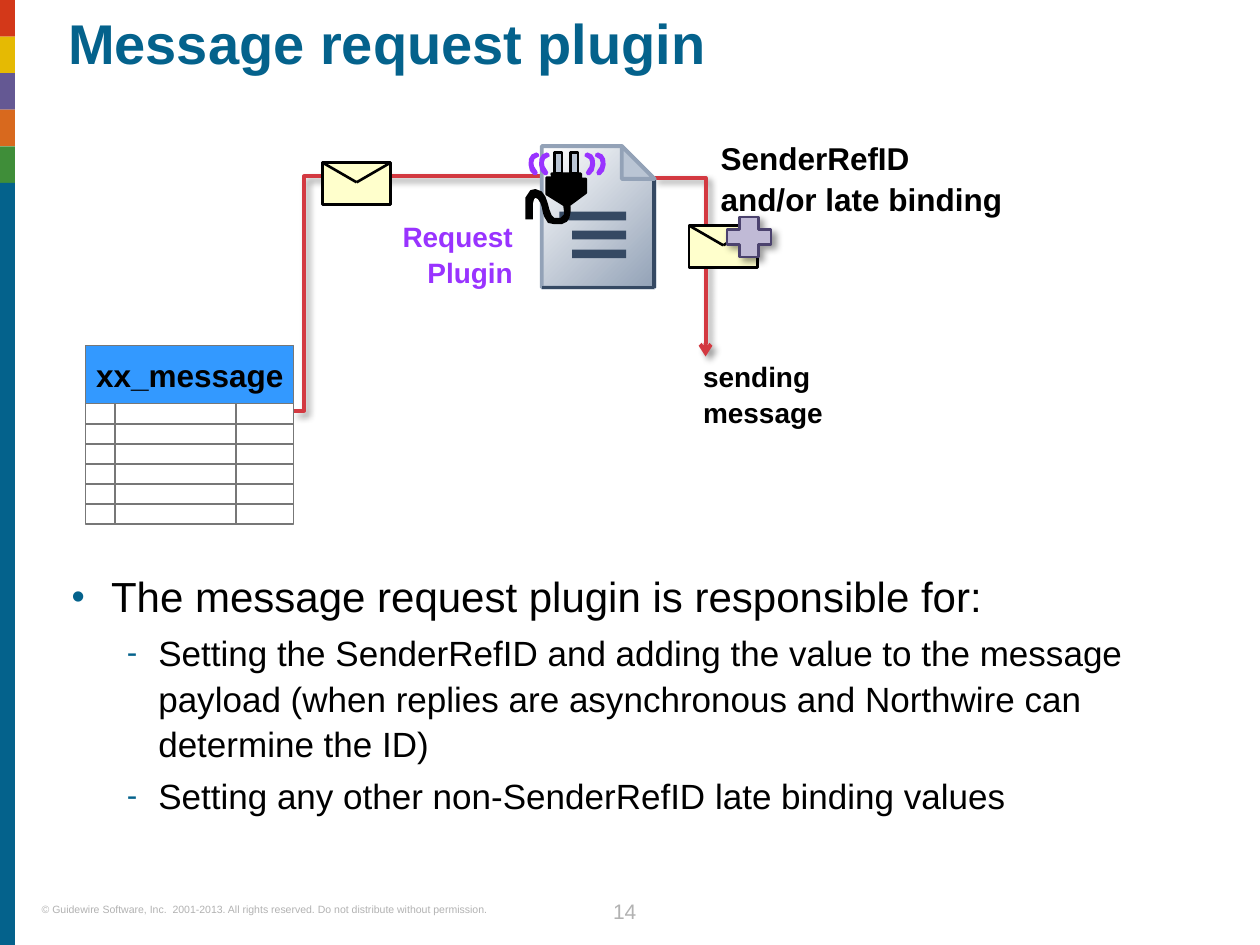
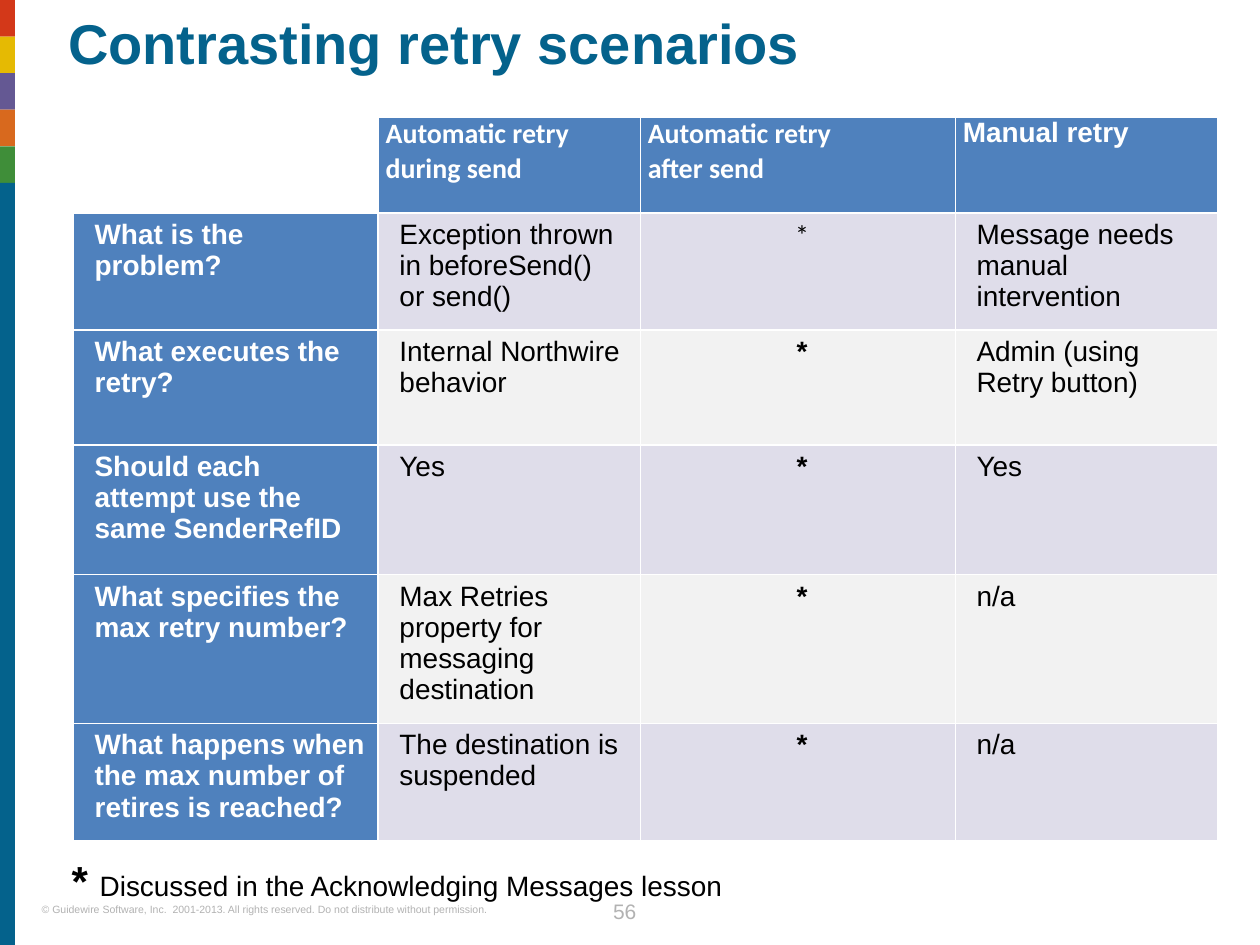
from lxml import etree
from pptx import Presentation
from pptx.dml.color import RGBColor
from pptx.enum.shapes import MSO_CONNECTOR, MSO_SHAPE
from pptx.enum.text import MSO_ANCHOR, MSO_AUTO_SIZE, PP_ALIGN
from pptx.oxml.ns import qn
from pptx.util import Pt

RECT, PLUS = MSO_SHAPE.RECTANGLE, MSO_SHAPE.CROSS
STRAIGHT, ELBOW = MSO_CONNECTOR.STRAIGHT, MSO_CONNECTOR.ELBOW
LEFT, CENTER, RIGHT = PP_ALIGN.LEFT, PP_ALIGN.CENTER, PP_ALIGN.RIGHT
TOP, MIDDLE = MSO_ANCHOR.TOP, MSO_ANCHOR.MIDDLE
NO_FIT = MSO_AUTO_SIZE.NONE

BLACK = RGBColor(0x00, 0x00, 0x00)
WHITE = RGBColor(0xFF, 0xFF, 0xFF)
BRAND_BLUE = RGBColor(0x04, 0x62, 0x8C)
BAND_COLORS = [RGBColor(0xD3, 0x38, 0x19), RGBColor(0xE5, 0xBA, 0x03),
               RGBColor(0x64, 0x58, 0x93), RGBColor(0xD8, 0x69, 0x1E),
               RGBColor(0x3F, 0x8E, 0x39)]
FOOTER_GRAY = RGBColor(0xB2, 0xB2, 0xB2)
GRID_GRAY = RGBColor(0x77, 0x77, 0x77)
HEADER_BLUE = RGBColor(0x33, 0x99, 0xFF)
PLUGIN_PURPLE = RGBColor(0x99, 0x33, 0xFF)
FLOW_RED = RGBColor(0xD3, 0x39, 0x41)
ENVELOPE = RGBColor(0xFF, 0xFF, 0xCC)
PLUS_FILL = RGBColor(0xC0, 0xBA, 0xD6)
PLUS_LINE = RGBColor(0x4B, 0x42, 0x6E)
PAGE_EDGE = RGBColor(0x93, 0xA2, 0xB7)
PAGE_FOLD = RGBColor(0xBA, 0xC5, 0xD4)
PAGE_DARK = RGBColor(0x35, 0x49, 0x63)
TABLE_BLUE = RGBColor(0x4F, 0x81, 0xBD)
ROW_FILLS = [RGBColor(0xDF, 0xDD, 0xEA), RGBColor(0xF2, 0xF2, 0xF2)]

ARIAL, CALIBRI = "Arial", "Calibri"
COPYRIGHT = ("© Guidewire Software, Inc.  2001-2013. All rights reserved. "
             "Do not distribute without permission.")

VIBRATION = [(0, 2.2), (0.3, 0.7), (1.7, 0), (4.3, 1.2), (5.8, 3.6), (6.1, 7),
             (5.2, 10.6), (3.1, 12.9), (1.5, 13), (0.8, 11.5), (1.6, 10),
             (2.9, 8), (3.3, 5.9), (2.7, 3.8)]
CORD = [(21.6, 29.5), (22.3, 35.3), (20.2, 37.4), (16.6, 37.4), (15.1, 36),
        (13.7, 32.4), (13, 29.5), (11.5, 25.2), (9.4, 22.3), (5.8, 20.9),
        (2.9, 21.6), (1.4, 23.8), (0, 25.9), (0, 38.2), (4.3, 38.2),
        (4.3, 29.5), (5, 26.6), (5.8, 25.9), (7.2, 26.6), (8.6, 28.8),
        (9.4, 31), (10.1, 34.6), (10.8, 36.7), (13, 40.3), (16.6, 41),
        (20.9, 41), (23.8, 39.6), (25.2, 37.4), (25.9, 33.8), (25.9, 31),
        (25.2, 29.5)]
PLUG_BODY = [(15.1, 12.2), (31.7, 12.2), (31.7, 15.1), (34.6, 15.1), (34.6, 23),
             (23.8, 31), (12.2, 23.8), (12.2, 14.4), (15.8, 14.4)]

RETRY_HEADERS = ["Automatic retry during send", "Automatic retry\nafter send",
                 "Manual retry"]
RETRY_ROWS = [
    ("What is the problem?", "Exception thrown in beforeSend()\nor send()", "*",
     "Message needs manual intervention"),
    ("What executes the retry?", "Internal Northwire behavior", "*",
     "Admin (using Retry button)"),
    ("Should each attempt use the same SenderRefID", "Yes", "*", "Yes"),
    ("What specifies the max retry number?",
     "Max Retries property for messaging destination", "*", "n/a"),
    ("What happens when the max number of retires is reached?",
     "The destination is suspended", "*", "n/a"),
]


def add_text(p, text, size, color=BLACK, bold=False, font=ARIAL):
    for i, part in enumerate(text.split("\n")):
        if i:
            p.add_line_break()
        r = p.add_run()
        r.text = part
        r.font.name, r.font.size, r.font.bold = font, Pt(size), bold
        r.font.color.rgb = color


def clear_frame(tf, anchor=TOP):
    tf.margin_left = tf.margin_right = tf.margin_top = tf.margin_bottom = 0
    tf.word_wrap, tf.auto_size, tf.vertical_anchor = True, NO_FIT, anchor


def text_box(slide, box, text="", align=LEFT, spacing=1.08, **fmt):
    tf = slide.shapes.add_textbox(*map(Pt, box)).text_frame
    clear_frame(tf)
    p = tf.paragraphs[0]
    p.alignment, p.line_spacing = align, spacing
    if text:
        add_text(p, text, **fmt)
    return tf


def add_bullet(p, char, left, hang):
    pPr = p._p.get_or_add_pPr()
    pPr.set("marL", str(Pt(left)))
    pPr.set("indent", str(-Pt(hang)))
    color = etree.SubElement(pPr, qn("a:buClr"))
    etree.SubElement(color, qn("a:srgbClr"), val=str(BRAND_BLUE))
    etree.SubElement(pPr, qn("a:buSzPct"), val="90000")
    etree.SubElement(pPr, qn("a:buFont"), typeface=ARIAL)
    etree.SubElement(pPr, qn("a:buChar"), char=char)


def set_effects(sp, shadow=False):
    effects = etree.SubElement(sp._element.spPr, qn("a:effectLst"))
    if shadow:
        outer = etree.SubElement(effects, qn("a:outerShdw"), blurRad=str(Pt(4)),
                                 dist=str(Pt(3)), dir="2700000", rotWithShape="0")
        color = etree.SubElement(outer, qn("a:srgbClr"), val=str(BLACK))
        etree.SubElement(color, qn("a:alpha"), val="40000")


def paint(sp, fill=None, line=None, width=1.5, shadow=False):
    if fill is None:
        sp.fill.background()
    else:
        sp.fill.solid()
        sp.fill.fore_color.rgb = fill
    if line is None:
        sp.line.fill.background()
    else:
        sp.line.color.rgb, sp.line.width = line, Pt(width)
    set_effects(sp, shadow)
    return sp


def add_box(shapes, box, kind=RECT, **look):
    return paint(shapes.add_shape(kind, *map(Pt, box)), **look)


def add_outline(shapes, x, y, points, **look):
    """Closed polygon whose points are in points from (x, y)."""
    first, *rest = [(px * 100, py * 100) for px, py in points]
    builder = shapes.build_freeform(*first, scale=127)
    builder.add_line_segments(rest, close=True)
    return paint(builder.convert_to_shape(Pt(x), Pt(y)), **look)


def add_line(shapes, x1, y1, x2, y2, color, width):
    line = shapes.add_connector(STRAIGHT, *map(Pt, (x1, y1, x2, y2)))
    line.line.color.rgb, line.line.width = color, Pt(width)
    set_effects(line)


def add_flow(shapes, x1, y1, x2, y2, bend, turn=0):
    """Red elbow arrow; bend in thousandths of a percent, turn in degrees."""
    flow = shapes.add_connector(ELBOW, *map(Pt, (x1, y1, x2, y2)))
    flow.line.color.rgb, flow.line.width = FLOW_RED, Pt(2.25)
    spPr = flow._element.spPr
    spPr.find(qn("a:xfrm")).set("rot", str(turn * 60000))
    guides = spPr.find(qn("a:prstGeom")).find(qn("a:avLst"))
    etree.SubElement(guides, qn("a:gd"), name="adj1", fmla=f"val {bend}")
    etree.SubElement(spPr.find(qn("a:ln")), qn("a:tailEnd"), type="arrow")
    set_effects(flow, shadow=True)


def base_slide(prs, title, number):
    slide = prs.slides.add_slide(prs.slide_layouts[5])
    text_box(slide, (23.8, 516.2, 289.4, 7.2), COPYRIGHT, spacing=1,
             size=6, color=FOOTER_GRAY)
    step, width = 20.9, 8.6
    for i, color in enumerate(BAND_COLORS):
        add_box(slide.shapes, (0, i * step, width, step), fill=color)
    band_end = len(BAND_COLORS) * step
    add_box(slide.shapes, (0, band_end, width, 540 - band_end), fill=BRAND_BLUE)
    text_box(slide, (336.5, 509.8, 41, 18), str(number), align=CENTER,
             spacing=Pt(18), size=12, color=FOOTER_GRAY)

    sp = slide.shapes.title
    sp.left, sp.top, sp.width, sp.height = map(Pt, (38.9, 9.4, 655.2, 58.3))
    clear_frame(sp.text_frame)
    p = sp.text_frame.paragraphs[0]
    p.alignment, p.line_spacing = LEFT, 0.9
    add_text(p, title, size=32, color=BRAND_BLUE, bold=True)
    return slide


def message_table(slide, x, y):
    shapes = slide.shapes.add_group_shape().shapes
    width, header, row, rows = 118.8, 33.4, 11.45, 6
    top, bottom = y + header, y + header + rows * row
    add_box(shapes, (x, top, width, rows * row), line=GRID_GRAY, width=0.75)
    sp = add_box(shapes, (x, y, width, header), fill=HEADER_BLUE,
                 line=GRID_GRAY, width=0.75)
    clear_frame(sp.text_frame, MIDDLE)
    sp.text_frame.word_wrap = False
    p = sp.text_frame.paragraphs[0]
    p.alignment = CENTER
    add_text(p, "xx_message", size=18, bold=True)
    for i in range(1, rows):
        add_line(shapes, x, top + i * row, x + width, top + i * row, GRID_GRAY, 1)
    for dx in (16.8, 85.8):
        add_line(shapes, x + dx, top, x + dx, bottom, GRID_GRAY, 1)


def envelope(slide, x, y, with_plus=False):
    shapes = slide.shapes.add_group_shape().shapes
    width, height = 39, 24
    add_box(shapes, (x, y, width, height), fill=ENVELOPE, line=BLACK)
    for corner in (x, x + width):
        add_line(shapes, x + width / 2, y + 11.3, corner, y, BLACK, 1.5)
    if with_plus:
        plus = add_box(shapes, (x + 21.6, y - 5, 25.2, 23), kind=PLUS,
                       fill=PLUS_FILL, line=PLUS_LINE, shadow=True)
        plus.adjustments[0] = 0.314


def plugin_page(slide, x, y):
    shapes = slide.shapes.add_group_shape().shapes
    width, height, fold = 64.4, 80.8, 18.7
    inner = width - fold
    page = add_outline(shapes, x, y, [(0, height), (0, 0), (inner, 0),
                                      (width, fold), (width, height)],
                       fill=WHITE, line=PAGE_EDGE, width=2.25)
    page.fill.gradient()
    page.fill.gradient_angle = 315
    for stop, color, at in zip(page.fill.gradient_stops, (WHITE, PAGE_EDGE), (0, 1)):
        stop.color.rgb, stop.position = color, at
    add_line(shapes, x, y + height, x + width, y + height, PAGE_DARK, 2.25)
    add_line(shapes, x + width, y + height, x + width, y + fold, PAGE_DARK, 2.25)
    add_outline(shapes, x, y, [(inner, 0), (inner, fold), (width, fold)],
                fill=PAGE_FOLD, line=PAGE_EDGE, width=2.25)
    for i, left in enumerate((10.1, 17.3, 17.3)):
        add_box(shapes, (x + left, y + 37.5 + i * 10.8, 48.2 - left, 5),
                fill=PAGE_DARK)
    plug(shapes, x - 9.4, y + 3.6)


def plug(shapes, x, y):
    for dx in (16.6, 25.9):
        add_box(shapes, (x + dx, y, 4.3, 12.2), fill=PAGE_FOLD, line=BLACK)
    add_outline(shapes, x, y, CORD, fill=BLACK)
    add_outline(shapes, x, y, PLUG_BODY, fill=BLACK, line=BLACK)
    mirrored = [(-px, py) for px, py in VIBRATION]
    for dx, points in ((33.8, VIBRATION), (39.8, VIBRATION),
                       (13.9, mirrored), (7.9, mirrored)):
        add_outline(shapes, x + dx, y, points, fill=PLUGIN_PURPLE)


def plugin_duties(slide, box):
    tf = text_box(slide, box)
    items = [
        (0, "The message request plugin is responsible for:"),
        (1, "Setting the SenderRefID and adding the value to the message payload "
            "(when replies are asynchronous and Northwire can determine the ID)"),
        (1, "Setting any other non-SenderRefID late binding values"),
    ]
    for i, (level, text) in enumerate(items):
        p = tf.add_paragraph() if i else tf.paragraphs[0]
        add_bullet(p, *(("•", 22.5, 22.5), ("-", 49.5, 18))[level])
        p.level, p.line_spacing = level, 1.08
        if i:
            p.space_before = Pt(4)
        add_text(p, text, size=(24, 20)[level])


def request_plugin_slide(prs):
    slide = base_slide(prs, "Message request plugin", 14)
    plugin_duties(slide, (41, 324, 655.2, 180))
    message_table(slide, 49, 197.3)
    text_box(slide, (401.8, 203.8, 88.6, 38.2), "sending\nmessage",
             size=16, bold=True)
    text_box(slide, (191.5, 123.8, 101.5, 38.2), "Request\nPlugin", align=RIGHT,
             size=16, color=PLUGIN_PURPLE, bold=True)
    add_flow(slide.shapes, 439.9, 138.2, 337.7, 167, bend=200, turn=270)
    envelope(slide, 393.8, 128.9, with_plus=True)
    add_flow(slide.shapes, 167.8, 234.7, 365.8, 100.8, bend=3000)
    envelope(slide, 184.3, 92.9)
    plugin_page(slide, 309.6, 83.5)
    text_box(slide, (411.8, 77.8, 242.6, 43.9), "SenderRefID\nand/or late binding",
             size=18, bold=True)


def fill_cell(cell, text, fill, header=False, align=LEFT, **fmt):
    cell.fill.solid()
    cell.fill.fore_color.rgb = fill
    cell.margin_left = Pt(4.3 if header else 12.2)
    cell.margin_right = Pt(0 if header else 7.2)
    cell.margin_top = cell.margin_bottom = Pt(0 if header else 3.6)
    tcPr = cell._tc.get_or_add_tcPr()
    for i, side in enumerate(("lnL", "lnR", "lnT", "lnB")):
        ln = etree.Element(qn(f"a:{side}"), w=str(Pt(1)))
        solid = etree.SubElement(ln, qn("a:solidFill"))
        etree.SubElement(solid, qn("a:srgbClr"), val=str(WHITE))
        tcPr.insert(i, ln)
    if text:
        p = cell.text_frame.paragraphs[0]
        p.alignment = align
        add_text(p, text, size=16, **fmt)


def retry_table(slide, box):
    widths = (174.2, 149.8, 180, 149.8)
    heights = (54.7, 67, 65.5, 74.2, 85, 67)
    table = slide.shapes.add_table(len(heights), len(widths), *map(Pt, box)).table
    table.horz_banding = False
    for column, width in zip(table.columns, widths):
        column.width = Pt(width)
    for row, height in zip(table.rows, heights):
        row.height = Pt(height)
    fill_cell(table.cell(0, 0), "", WHITE)
    for c, text in enumerate(RETRY_HEADERS, 1):
        fill_cell(table.cell(0, c), text, TABLE_BLUE, header=True, color=WHITE,
                  bold=True, font=ARIAL if c == 3 else CALIBRI)
    for r, (question, *answers) in enumerate(RETRY_ROWS, 1):
        fill_cell(table.cell(r, 0), question, TABLE_BLUE, color=WHITE, bold=True)
        for c, text in enumerate(answers, 1):
            star = text == "*"
            fill_cell(table.cell(r, c), text, ROW_FILLS[(r - 1) % 2],
                      align=CENTER if star else LEFT, bold=star and r > 1,
                      font=CALIBRI if star and r == 1 else ARIAL)


def retry_slide(prs):
    slide = base_slide(prs, "Contrasting retry scenarios", 56)
    tf = text_box(slide, (41, 486, 655.2, 36), "* ", size=24, bold=True)
    add_text(tf.paragraphs[0], "Discussed in the Acknowledging Messages lesson", size=16)
    retry_table(slide, (41.9, 67, 653.8, 413.4))


def main():
    prs = Presentation()
    prs.slide_width, prs.slide_height = Pt(720), Pt(540)
    request_plugin_slide(prs)
    retry_slide(prs)
    prs.save("out.pptx")


if __name__ == "__main__":
    main()
